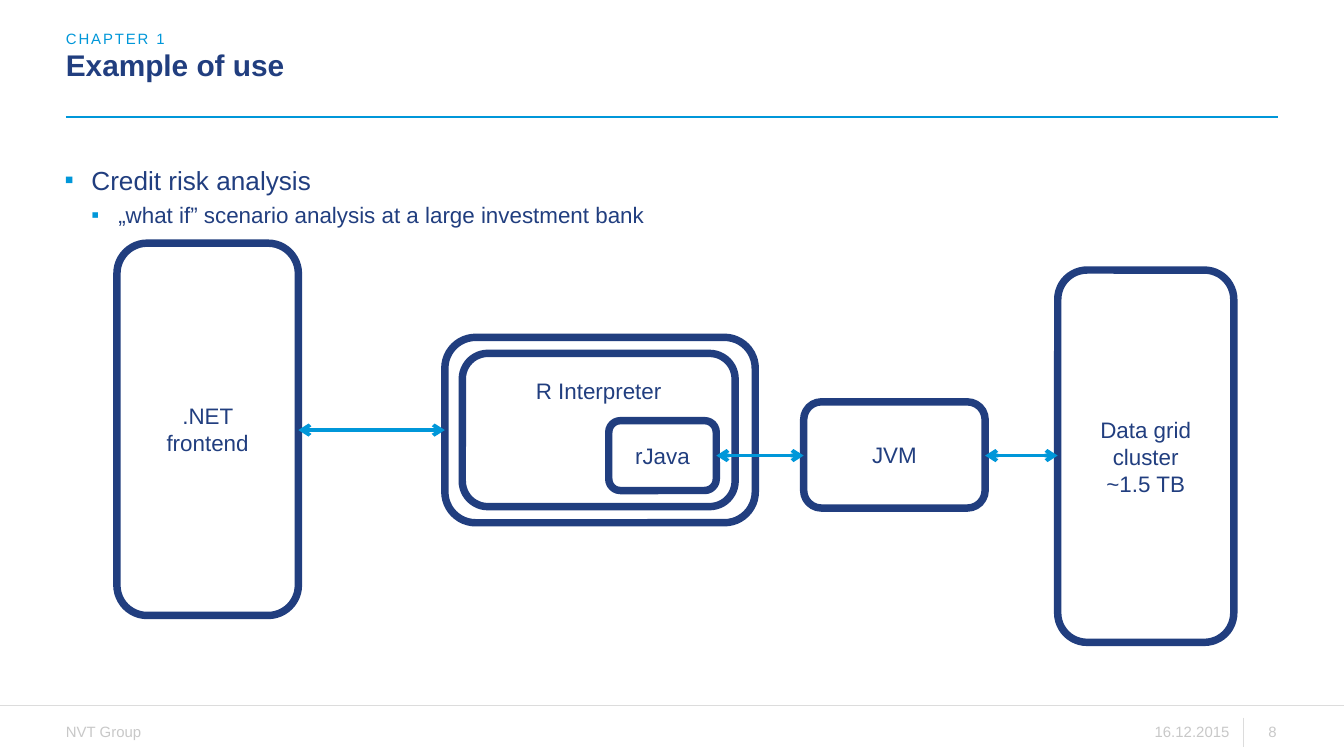
from lxml import etree
from pptx import Presentation
from pptx.dml.color import RGBColor
from pptx.enum.shapes import MSO_CONNECTOR, MSO_SHAPE
from pptx.enum.text import MSO_ANCHOR, PP_ALIGN
from pptx.oxml.ns import qn
from pptx.util import Inches, Pt

LEFT, CENTER, RIGHT = PP_ALIGN.LEFT, PP_ALIGN.CENTER, PP_ALIGN.RIGHT
TOP, MIDDLE, BOTTOM = MSO_ANCHOR.TOP, MSO_ANCHOR.MIDDLE, MSO_ANCHOR.BOTTOM
ROUNDED, STRAIGHT = MSO_SHAPE.ROUNDED_RECTANGLE, MSO_CONNECTOR.STRAIGHT

WIDTH = 10
HEIGHT = WIDTH * 9 / 16
MARGIN = 0.49
BODY_AREA = (0.48, 1.22, 9.02, 0.39)
HEADING_WIDTH = 7.32
FOOTER_TOP, FOOTER_HEIGHT = 5.38, 0.13
NAVY, BLUE, GREY, PALE, WHITE = "213E7F", "0097D9", "C8C8C8", "DCDCDC", "FFFFFF"
FONT = "Arial"

TITLE = "Example of use"
CHAPTER = "CHAPTER 1"
BULLETS = [
    ("Credit risk analysis", 14),
    ("„what if” scenario analysis at a large investment bank", 12),
]
BULLET_INDENT = 0.2
FOOTERS = [
    ("NVT Group", MARGIN, 0.57, LEFT),
    ("16.12.2015", 8.58, 0.57, RIGHT),
    ("8", 9.28, 0.22, RIGHT),
]
RULES = [
    ((MARGIN, 0.87), (WIDTH - MARGIN, 0.87), BLUE),
    ((0, 5.25), (WIDTH, 5.25), PALE),
    ((9.25, 5.34), (9.25, 5.56), PALE),
]
BOXES = {
    "frontend": ((0.87, 1.81, 1.35, 2.77), [".NET frontend"], MIDDLE),
    "cluster": ((7.87, 2.01, 1.31, 2.77), ["Data grid cluster", "~1.5 TB"], MIDDLE),
    "connector": ((3.31, 2.51, 2.31, 1.38), [], TOP),
    "interpreter": ((3.44, 2.63, 2.03, 1.14), ["R Interpreter"], TOP),
    "rjava": ((4.53, 3.13, 0.8, 0.52), ["rJava"], MIDDLE),
    "jvm": ((5.98, 2.99, 1.35, 0.79), ["JVM"], MIDDLE),
}
LINKS = [("frontend", "connector"), ("jvm", "cluster"), ("rjava", "jvm")]


def color(value):
    return RGBColor.from_string(value)


def place(shape, area):
    shape.left, shape.top, shape.width, shape.height = map(Inches, area)


def set_frame(shape, anchor=TOP, inset=0, wrap=True):
    frame = shape.text_frame
    frame.word_wrap = wrap
    frame.vertical_anchor = anchor
    frame.margin_left = frame.margin_right = Inches(inset)
    frame.margin_top = frame.margin_bottom = Inches(inset)
    return frame


def write(paragraph, text, size, value, align=LEFT, bold=False):
    paragraph.alignment = align
    run = paragraph.add_run()
    run.text = text
    run.font.name = FONT
    run.font.size = Pt(size)
    run.font.bold = bold
    run.font.color.rgb = color(value)
    return run


def paragraphs(frame, count):
    return [frame.paragraphs[0]] + [frame.add_paragraph() for _ in range(count - 1)]


def add_text(area, text, size, value, align=LEFT, anchor=MIDDLE, wrap=True):
    shape = slide.shapes.add_textbox(*map(Inches, area))
    frame = set_frame(shape, anchor, wrap=wrap)
    return write(frame.paragraphs[0], text, size, value, align)


def add_line(start, end, value, width, arrows=False):
    line = slide.shapes.add_connector(STRAIGHT, *map(Inches, (*start, *end)))
    line.line.color.rgb = color(value)
    line.line.width = Pt(width)
    if arrows:
        for tag in ("a:headEnd", "a:tailEnd"):
            etree.SubElement(line.line._get_or_add_ln(), qn(tag), type="arrow")
    etree.SubElement(line._element.spPr, qn("a:effectLst"))


def add_bullet(paragraph, level):
    paragraph.level = level
    paragraph.space_after = Pt(3)
    properties = paragraph._p.get_or_add_pPr()
    properties.set("marL", str(Inches(BULLET_INDENT * (level + 1))))
    properties.set("indent", str(-Inches(BULLET_INDENT)))
    bullet_color = etree.SubElement(properties, qn("a:buClr"))
    etree.SubElement(bullet_color, qn("a:srgbClr"), val=BLUE)
    etree.SubElement(properties, qn("a:buFont"), typeface=FONT)
    etree.SubElement(properties, qn("a:buChar"), char="▪")


def add_box(area, lines, anchor):
    box = slide.shapes.add_shape(ROUNDED, *map(Inches, area))
    box.shadow.inherit = False
    box.fill.solid()
    box.fill.fore_color.rgb = color(WHITE)
    box.line.color.rgb = color(NAVY)
    box.line.width = Pt(4)
    frame = set_frame(box, anchor, 0.12)
    for paragraph, text in zip(paragraphs(frame, len(lines)), lines):
        write(paragraph, text, 12, NAVY, CENTER)


presentation = Presentation()
presentation.slide_width, presentation.slide_height = Inches(WIDTH), Inches(HEIGHT)
slide = presentation.slides.add_slide(presentation.slide_layouts[5])

for start, end, value in RULES:
    add_line(start, end, value, 0.75)
for text, left, width, align in FOOTERS:
    add_text((left, FOOTER_TOP, width, FOOTER_HEIGHT), text, 8, GREY, align, wrap=False)

title = slide.shapes.title
place(title, (MARGIN, 0.38, HEADING_WIDTH, 0.24))
title_paragraph = set_frame(title).paragraphs[0]
title_paragraph.line_spacing = Pt(17)
write(title_paragraph, TITLE, 16, NAVY, bold=True)

chapter = add_text((MARGIN, 0.22, HEADING_WIDTH, 0.13), CHAPTER, 8, BLUE, anchor=BOTTOM)
chapter.font._element.set("spc", "100")

body = slide.shapes.add_textbox(*map(Inches, BODY_AREA))
bullet_paragraphs = paragraphs(set_frame(body), len(BULLETS))
for level, (paragraph, (text, size)) in enumerate(zip(bullet_paragraphs, BULLETS)):
    write(paragraph, text, size, NAVY)
    add_bullet(paragraph, level)

for area, lines, anchor in BOXES.values():
    add_box(area, lines, anchor)
for source, target in LINKS:
    left, top, width, height = BOXES[source][0]
    target_left, target_top, _, target_height = BOXES[target][0]
    middle = round(target_top + target_height / 2, 2)
    add_line((left + width, middle), (target_left, middle), BLUE, 2, arrows=True)

presentation.save("out.pptx")
